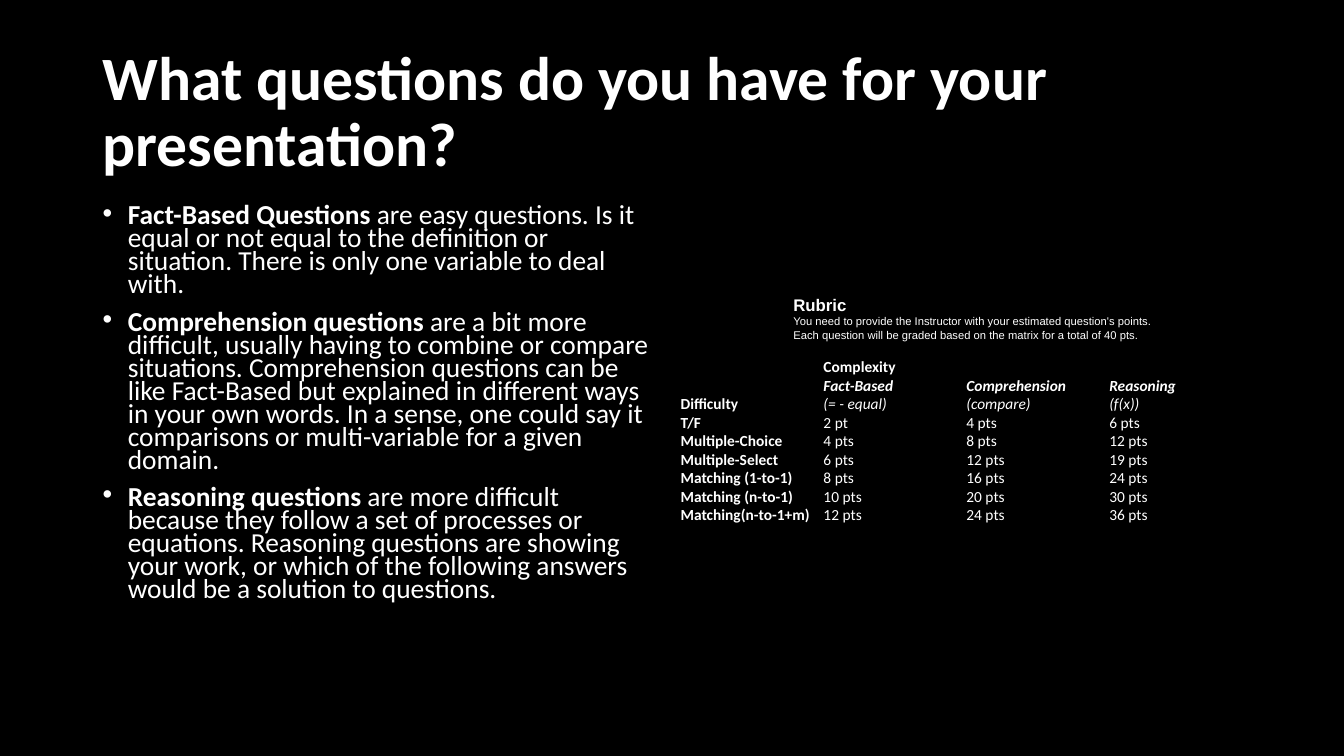
from lxml import etree
from pptx import Presentation
from pptx.dml.color import RGBColor
from pptx.enum import text
from pptx.oxml import ns
from pptx.util import Inches, Pt

BLACK = RGBColor(0, 0, 0)
WHITE = RGBColor(255, 255, 255)
NO_GRID_STYLE = "{2D5ABB26-0587-4C30-8999-92F81FD0307C}"


def add_span(para, words, size, name="Calibri", bold=False, italic=False):
    span = para.add_run()
    span.text = words
    looks = {"size": Pt(size), "name": name, "bold": bold, "italic": italic}
    for key, value in looks.items():
        setattr(span.font, key, value)
    span.font.color.rgb = WHITE


def add_frame(left, top, width, height, anchor):
    """Add a wrapping text box and return its text frame."""
    box = page.shapes.add_textbox(*map(Inches, (left, top, width, height)))
    box.text_frame.word_wrap = True
    box.text_frame.vertical_anchor = anchor
    return box.text_frame


deck = Presentation()
deck.slide_width, deck.slide_height = Inches(13.33), Inches(7.5)
page = deck.slides.add_slide(deck.slide_layouts[6])
page.background.fill.solid()
page.background.fill.fore_color.rgb = BLACK

# Title
title = add_frame(0.92, 0.4, 11.5, 1.45, text.MSO_ANCHOR.MIDDLE).paragraphs[0]
title.line_spacing = 0.9
add_span(title, "What questions do you have for your presentation?", 44, bold=True)

# Question types
question_types = [
    ("Fact-Based Questions",
     " are easy questions. Is it equal or not equal to the definition or situation. "
     "There is only one variable to deal with."),
    ("Comprehension questions",
     " are a bit more difficult, usually having to combine or compare situations. "
     "Comprehension questions can be like Fact-Based but explained in different ways "
     "in your own words. In a sense, one could say it comparisons or multi-variable "
     "for a given domain."),
    ("Reasoning questions",
     " are more difficult because they follow a set of processes or equations. "
     "Reasoning questions are showing your work, or which of the following answers "
     "would be a solution to questions."),
]
body = add_frame(0.92, 2, 5.67, 4.76, text.MSO_ANCHOR.TOP)
for index, (term, meaning) in enumerate(question_types):
    para = body.add_paragraph() if index else body.paragraphs[0]
    para.line_spacing = 0.7
    para.space_before = Pt(10)
    indents = para._p.get_or_add_pPr()
    indents.set("marL", str(Inches(0.25)))
    indents.set("indent", str(Inches(-0.25)))
    etree.SubElement(indents, ns.qn("a:buFont"), typeface="Arial")
    etree.SubElement(indents, ns.qn("a:buChar"), char="•")
    add_span(para, term, 19.6, bold=True)
    add_span(para, meaning, 19.6)

# Points matrix
matrix = [
    ("", "Complexity", "", ""),
    ("", "Fact-Based", "Comprehension", "Reasoning"),
    ("Difficulty", "(= - equal)", "(compare)", "(f(x))"),
    ("T/F", "2 pt", "4 pts", "6 pts"),
    ("Multiple-Choice", "4 pts", "8 pts", "12 pts"),
    ("Multiple-Select", "6 pts", "12 pts", "19 pts"),
    ("Matching (1-to-1)", "8 pts", "16 pts", "24 pts"),
    ("Matching (n-to-1)", "10 pts", "20 pts", "30 pts"),
    ("Matching(n-to-1+m)", "12 pts", "24 pts", "36 pts"),
]
holder = page.shapes.add_table(len(matrix), 4, Inches(6.75), Inches(3.55),
                               Inches(5.67), Inches(1.65))
for style in holder.element.iter(ns.qn("a:tableStyleId")):
    style.text = NO_GRID_STYLE
table = holder.table
table.first_row = table.horz_banding = False
for r, row in enumerate(matrix):
    for c, words in enumerate(row):
        cell = table.cell(r, c)
        cell.fill.background()
        for side in ("left", "right", "top", "bottom"):
            setattr(cell, f"margin_{side}", 0)
        para = cell.text_frame.paragraphs[0]
        if words:
            add_span(para, words, 11, bold=r < 2 or c == 0,
                     italic=r == 1 or (r == 2 and c > 0))
        else:
            # Keeps an empty cell from stretching its row
            etree.SubElement(para._p, ns.qn("a:endParaRPr"), sz="1100")

# Rubric note
rubric = add_frame(7.77, 2.87, 4.03, 0.57, text.MSO_ANCHOR.MIDDLE)
rubric.auto_size = text.MSO_AUTO_SIZE.SHAPE_TO_FIT_TEXT
add_span(rubric.paragraphs[0], "Rubric", 12, "Arial", bold=True)
note = rubric.add_paragraph()
add_span(note, "You need to provide the Instructor with your estimated question's points.",
         8, "Arial")
note.add_line_break()
add_span(note, "Each question will be graded based on the matrix for a total of 40 pts.",
         8, "Arial")

deck.save("out.pptx")
